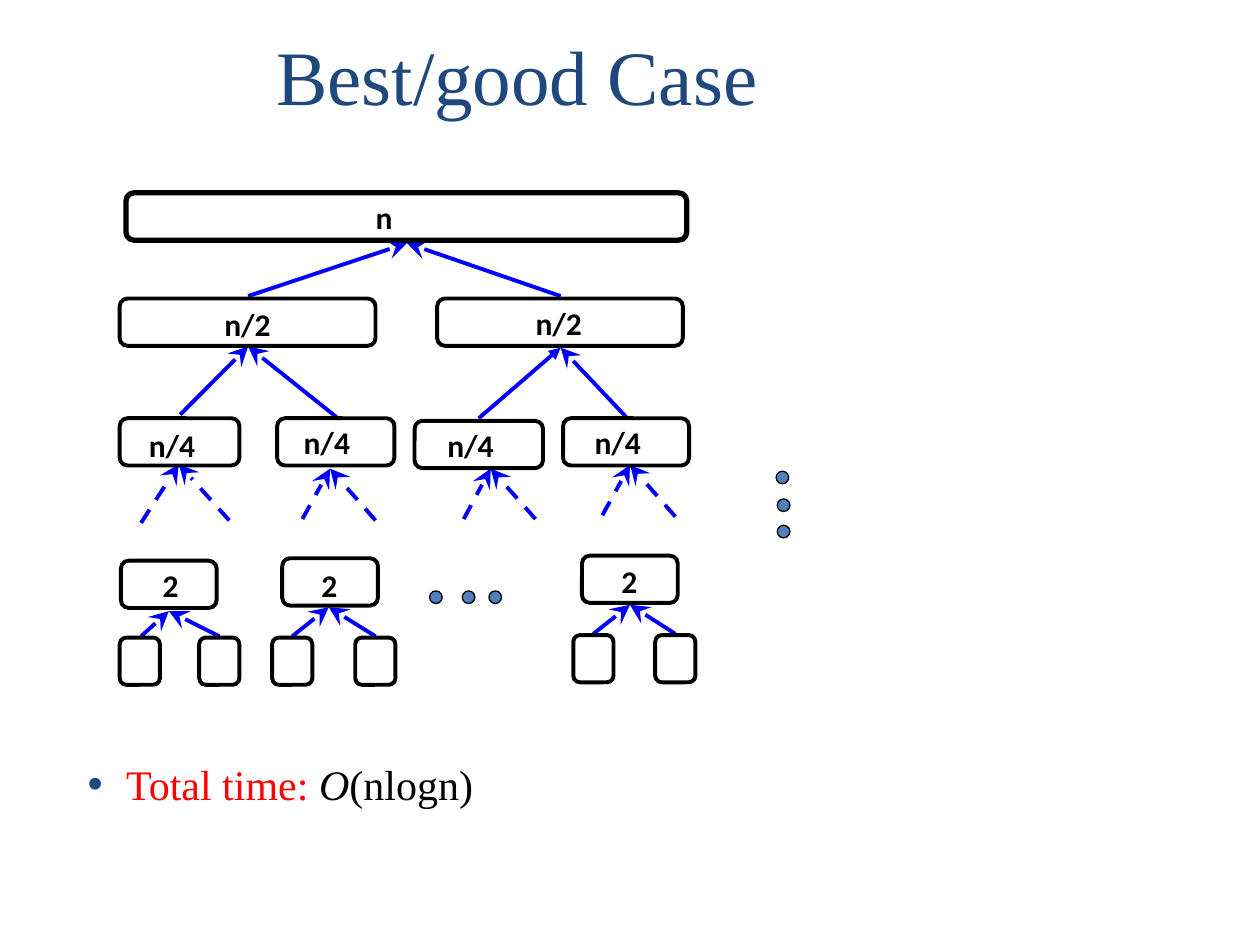
from lxml import etree
from pptx import Presentation
from pptx.dml.color import RGBColor
from pptx.enum import dml, shapes, text
from pptx.oxml import ns
from pptx.util import Pt

theme = {
    "ink": "000000", "title": "1F497D", "accent": "FF0000",
    "arrow": "0000FF", "dot": "4F81BD",
    "serif": "Times New Roman", "sans": "Calibri",
    "head": 44, "body": 24, "label": 18,
}
rgb = RGBColor.from_string

deck = Presentation()
deck.slide_width, deck.slide_height = Pt(720), Pt(540)
slide = deck.slides.add_slide(deck.slide_layouts[6])


def add_text(box, runs, font="sans", size="label", align="LEFT",
             anchor="TOP", pad=(0, 0), bold=False):
    """Add a text box; runs hold (words, colour key, italic)."""
    frame = slide.shapes.add_textbox(*map(Pt, box)).text_frame
    frame.word_wrap = True
    frame.vertical_anchor = getattr(text.MSO_ANCHOR, anchor)
    frame.margin_left = frame.margin_right = Pt(pad[0])
    frame.margin_top = frame.margin_bottom = Pt(pad[1])
    para = frame.paragraphs[0]
    para.alignment = getattr(text.PP_ALIGN, align)
    for words, color, slant in runs:
        run = para.add_run()
        run.text = words
        run.font.name = theme[font]
        run.font.size = Pt(theme[size])
        run.font.bold = bold
        run.font.italic = slant
        run.font.color.rgb = rgb(theme[color])
    return para


def add_form(kind, box, width, fill=None):
    """Add an outlined preset shape without shadow."""
    form = slide.shapes.add_shape(kind, *map(Pt, box))
    form.shadow.inherit = False
    form.line.color.rgb = rgb(theme["ink"])
    form.line.width = Pt(width)
    if fill:
        form.fill.solid()
        form.fill.fore_color.rgb = rgb(theme[fill])
    else:
        form.fill.background()


# Arrows: tip, left start, right start, dashed
pairs = [
    ((232.6, 139), (141.8, 169.2), (320.4, 169.2), False),
    ((141.8, 198), (103, 236.9), (192.2, 238.3), False),
    ((320.4, 198.7), (273.6, 239), (357.8, 238.3), False),
    ((102.2, 265.3), (80.6, 298.8), (131, 297.4), True),
    ((188.6, 267.8), (172.8, 296.6), (214.6, 297.4), True),
    ((280.4, 267.8), (265, 296.6), (306, 296.6), True),
    ((360, 265.7), (344.2, 294.5), (385.9, 295.2), True),
    ((96.5, 349.2), (80.6, 363.6), (125.3, 363.6), False),
    ((187.9, 347), (167, 363.6), (214.6, 363.6), False),
    ((360, 345.6), (339.1, 362.2), (385.9, 362.2), False),
]
small = (273.6, 239)
for tip, left, right, dashed in pairs:
    for start in (left, right):
        arrow = slide.shapes.add_connector(
            shapes.MSO_CONNECTOR.STRAIGHT, *map(Pt, start + tip))
        arrow.line.color.rgb = rgb(theme["arrow"])
        arrow.line.width = Pt(2.25)
        if dashed:
            arrow.line.dash_style = dml.MSO_LINE.DASH
        kind, size = ("triangle", "med") if start == small else ("stealth", "lg")
        etree.SubElement(arrow.line._get_or_add_ln(), ns.qn("a:tailEnd"),
                         type=kind, w=size, len=size)
        etree.SubElement(arrow._element.spPr, ns.qn("a:effectLst"))

# Nodes: left, top, width, label, label left, label top
nodes = [
    (72, 110.2, 320.4, "n", 214.6, 113),
    (68.4, 170.6, 146.2, "n/2", 128.2, 174.2),
    (249.8, 170.6, 140.4, "n/2", 306, 173.5),
    (68.4, 239, 68.4, "n/4", 85, 243.4),
    (158.4, 239, 67, "n/4", 173.5, 241.9),
    (236.9, 240.5, 73.4, "n/4", 255.6, 243.4),
    (321.8, 239, 72, "n/4", 339.8, 241.9),
    (69.1, 320.4, 54.7, "2", 92.9, 323.3),
    (161.3, 319, 54.7, "2", 183.6, 323.3),
    (332.6, 317.5, 54.7, "2", 355, 321.1),
]
round_box = shapes.MSO_SHAPE.ROUNDED_RECTANGLE
for left, top, width, label, x, y in nodes:
    add_form(round_box, (left, top, width, 27), 3 if label == "n" else 2.25)
    add_text((x, y, 40, 21.6), [(label, "ink", False)], bold=True)

leaves = [(68.4, 364.3), (113.8, 364.3), (155.5, 364.3),
          (203, 364.3), (327.6, 362.9), (374.4, 362.9)]
for left, top in leaves:
    add_form(round_box, (left, top, 23, 27), 2.25)

dots = [(443.5, 269.3), (444.2, 285.1), (444.2, 300.2),
        (245.5, 337.7), (264.2, 337.7), (279.4, 337.7)]
for left, top in dots:
    add_form(shapes.MSO_SHAPE.OVAL, (left, top, 7.2, 7.2), 0.75, "dot")

add_text((-1.4, 13.7, 594, 58.3), [("Best/good Case", "title", False)],
         font="serif", size="head", align="CENTER", anchor="MIDDLE", pad=(7.2, 3.6))

total = add_text((42.5, 430, 556.6, 65),
                 [("Total time: ", "accent", False), ("O", "ink", True),
                  ("(nlogn)", "ink", False)],
                 font="serif", size="body", pad=(7.2, 3.6))
props = total._p.get_or_add_pPr()
props.set("marL", str(Pt(22.5)))
props.set("indent", str(-Pt(22.5)))
color = etree.SubElement(props, ns.qn("a:buClr"))
etree.SubElement(color, ns.qn("a:srgbClr"), val=theme["title"])
etree.SubElement(props, ns.qn("a:buSzPct"), val="117000")
etree.SubElement(props, ns.qn("a:buFont"), typeface=theme["serif"])
etree.SubElement(props, ns.qn("a:buChar"), char="•")

deck.save("out.pptx")
